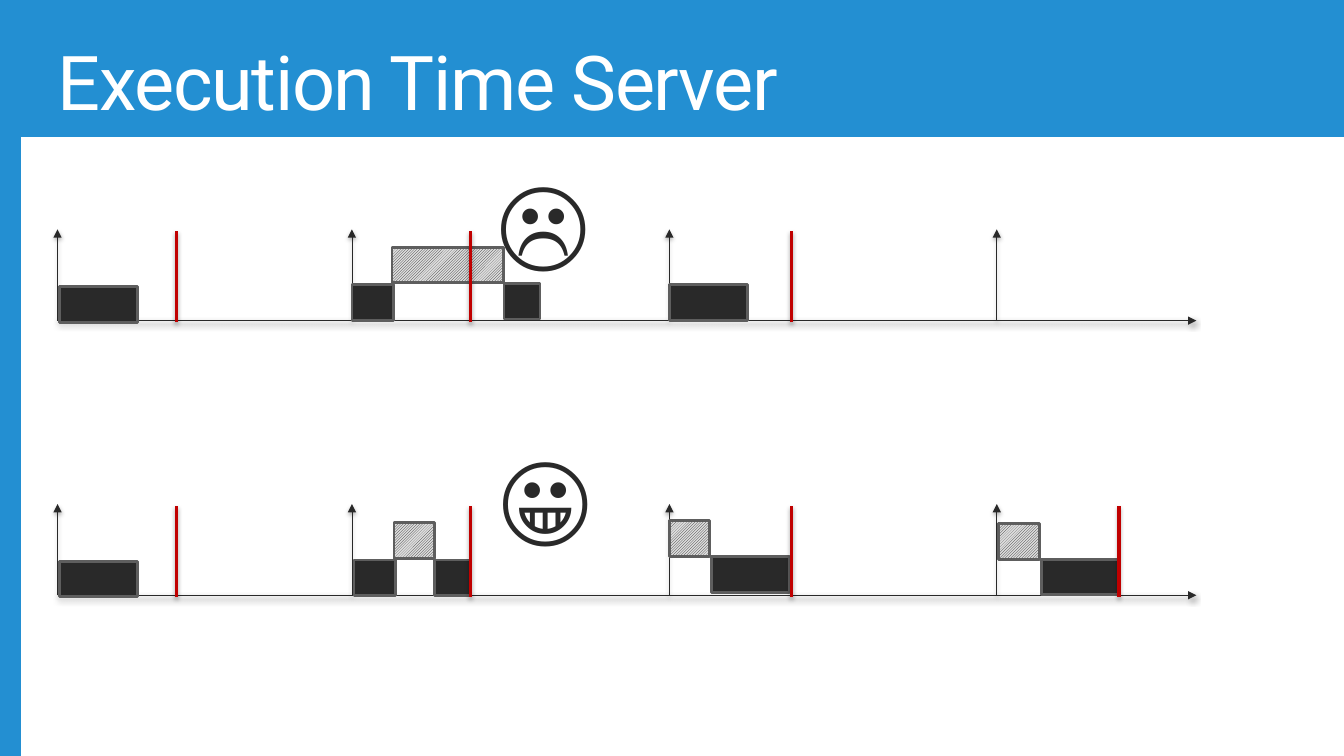
import pptx
import pptx.util
import pptx.oxml
import pptx.oxml.ns
import pptx.dml.color
import pptx.enum.dml
import pptx.enum.shapes
import pptx.enum.text

Cm, Pt = pptx.util.Cm, pptx.util.Pt
RGBColor = pptx.dml.color.RGBColor
BLUE = RGBColor(0x23, 0x8F, 0xD2)
INK = RGBColor(0x29, 0x29, 0x29)
GREY = RGBColor(0x5E, 0x5E, 0x5E)
PALE = RGBColor(0xDD, 0xDD, 0xDD)
RED = RGBColor(0xC0, 0x00, 0x00)
WHITE = RGBColor(0xFF, 0xFF, 0xFF)
FONT = "Roboto"

SLIDE_W, SLIDE_H = 33.87, 19.05
HEADER_H, SIDE_W = 3.45, 0.53
BLOCK_H = 0.9
DEADLINE_DROP = 0.04
RELEASES = (0, 7.42, 15.42, 23.67)
DEADLINES = (3, 10.41, 18.49, 26.75)

# Blocks are (offset from the row's left, width, height of the top above the axis).
OVERRUN = {
    "face": ("☹\ufe0f", 11.1),
    "tasks": ((0.05, 1.96, 0.86), (7.42, 1.04, 0.91), (11.25, 0.91, 0.94), (15.42, 1.96, 0.91)),
    "servers": ((8.43, 2.82, 1.85),),
    "deadlines": DEADLINES[:3],
}
BUDGETED = {
    "face": ("😀", 11.15),
    "tasks": ((0.05, 1.96, 0.86), (7.47, 1.04, 0.89), (9.5, 0.91, 0.89),
              (16.48, 1.96, 0.97), (24.79, 1.96, 0.91)),
    "servers": ((8.48, 1.02, 1.83), (15.42, 1.02, 1.88), (23.72, 1.02, 1.8)),
    "deadlines": DEADLINES,
}

SHADOW_XML = (
    "<a:effectLst %s><a:outerShdw blurRad='39370' dist='22860' dir='5400000' rotWithShape='0'>"
    "<a:srgbClr val='000000'><a:alpha val='35000'/></a:srgbClr></a:outerShdw></a:effectLst>"
    % pptx.oxml.ns.nsdecls("a"))
ARROW_XML = "<a:tailEnd %s type='triangle'/>" % pptx.oxml.ns.nsdecls("a")


def add_rect(s, x, y, w, h):
    sp = s.shapes.add_shape(pptx.enum.shapes.MSO_SHAPE.RECTANGLE, Cm(x), Cm(y), Cm(w), Cm(h))
    sp.shadow.inherit = False
    return sp


def add_line(s, x1, y1, x2, y2, color, width, arrow=False):
    line = s.shapes.add_connector(
        pptx.enum.shapes.MSO_CONNECTOR.STRAIGHT, Cm(x1), Cm(y1), Cm(x2), Cm(y2))
    line.line.color.rgb = color
    line.line.width = Pt(width)
    if arrow:
        line.line._get_or_add_ln().append(pptx.oxml.parse_xml(ARROW_XML))
    line._element.spPr.append(pptx.oxml.parse_xml(SHADOW_XML))


def add_block(s, x, y, w, hatched):
    sp = add_rect(s, x, y, w, BLOCK_H)
    if hatched:
        sp.fill.patterned()
        sp.fill.pattern = pptx.enum.dml.MSO_PATTERN.LIGHT_UPWARD_DIAGONAL
        sp.fill.fore_color.rgb = INK
        sp.fill.back_color.rgb = PALE
    else:
        sp.fill.solid()
        sp.fill.fore_color.rgb = INK
    sp.line.color.rgb = GREY
    sp.line.width = Pt(2)


def set_text(sp, text, size, color):
    """Fill a frame with one left-aligned line without margins."""
    tf = sp.text_frame
    tf.margin_left = tf.margin_right = tf.margin_top = tf.margin_bottom = 0
    tf.auto_size = pptx.enum.text.MSO_AUTO_SIZE.SHAPE_TO_FIT_TEXT
    tf.text = text
    p = tf.paragraphs[0]
    p.alignment = pptx.enum.text.PP_ALIGN.LEFT
    p.line_spacing = 0.9
    p.space_before = Pt(0)
    r = p.runs[0]
    r.font.name = FONT
    r.font.size = Pt(size)
    r.font.color.rgb = color
    return r


def add_header(s, x, y, w, h):
    """Draw the blue frame behind the title and set the title in the given box."""
    title = s.shapes.title
    for bar_w, bar_h in ((SLIDE_W, HEADER_H), (SIDE_W, SLIDE_H)):
        bar = add_rect(s, 0, 0, bar_w, bar_h)
        bar.fill.solid()
        bar.fill.fore_color.rgb = BLUE
        bar.line.fill.background()
        title._element.addprevious(bar._element)
    title.left, title.top, title.width, title.height = Cm(x), Cm(y), Cm(w), Cm(h)
    title.text_frame.vertical_anchor = pptx.enum.text.MSO_ANCHOR.MIDDLE
    r = set_text(title, "Execution Time Server", 54, WHITE)
    r.font._element.set("spc", "-100")


def add_timeline(s, x, y, w, h, schedule):
    """Draw one schedule with its time axis along the bottom of the box."""
    base = y + h
    for release in RELEASES:
        add_line(s, x + release, base, x + release, y, INK, 0.5, arrow=True)
    add_line(s, x, base, x + w, base, INK, 0.5, arrow=True)
    for kind in ("servers", "tasks"):
        for offset, width, rise in schedule[kind]:
            add_block(s, x + offset, base - rise, width, kind == "servers")
    for deadline in schedule["deadlines"]:
        add_line(s, x + deadline, base + DEADLINE_DROP,
                 x + deadline, y + DEADLINE_DROP, RED, 2.25)
    face, offset = schedule["face"]
    tb = s.shapes.add_textbox(Cm(x + offset), Cm(y - 1.45), Cm(2.57), Cm(2.79))
    tb.text_frame.word_wrap = False
    set_text(tb, face, 72, INK)


def main():
    prs = pptx.Presentation()
    prs.slide_width, prs.slide_height = Cm(SLIDE_W), Cm(SLIDE_H)
    s = prs.slides.add_slide(prs.slide_layouts[5])
    add_header(s, 1.45, 1.12, 30.96, 2.08)
    for top, schedule in ((5.78, OVERRUN), (12.7, BUDGETED)):
        add_timeline(s, 1.45, top, 28.7, 2.3, schedule)
    prs.save("out.pptx")


if __name__ == "__main__":
    main()
